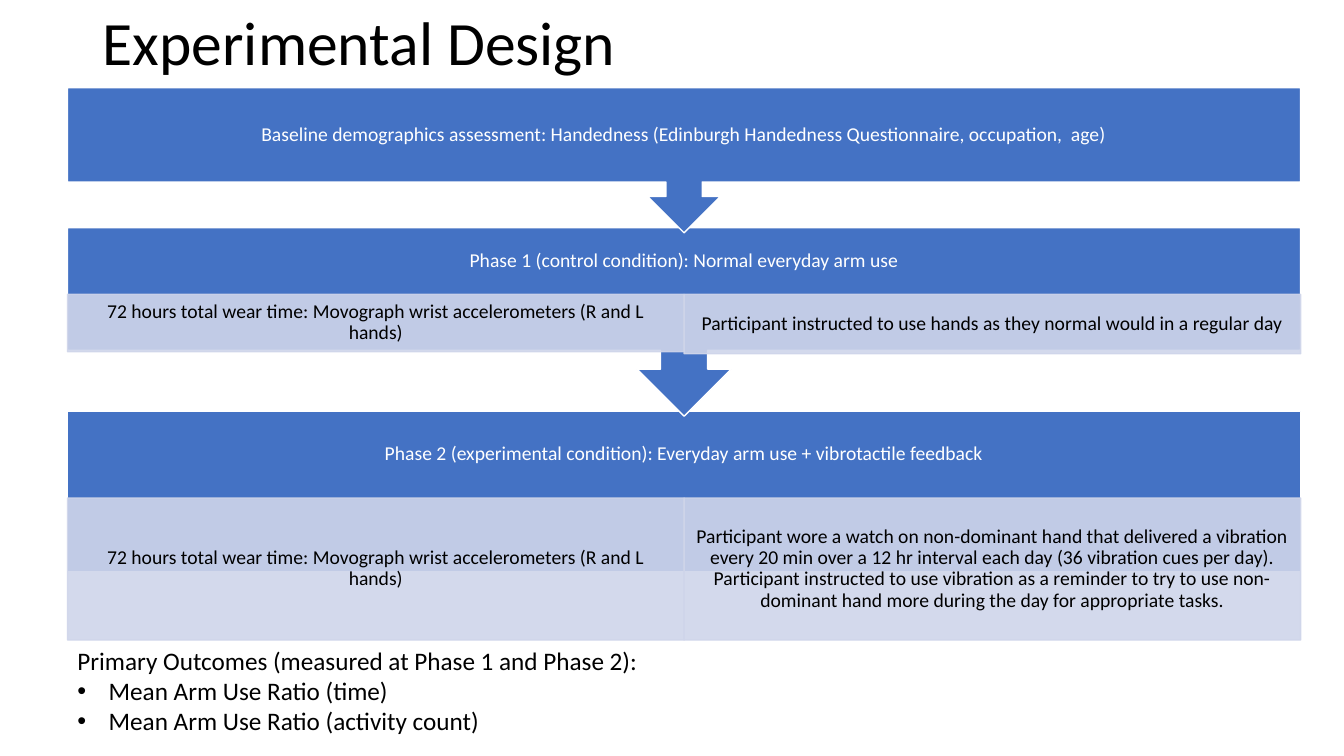
import pptx
import pptx.util
import pptx.dml.color
import pptx.enum.shapes
import pptx.enum.text
import pptx.oxml.ns
import lxml.etree

Inches = pptx.util.Inches
Pt = pptx.util.Pt
RGBColor = pptx.dml.color.RGBColor
Kind = pptx.enum.shapes.MSO_SHAPE
Align = pptx.enum.text.PP_ALIGN
Anchor = pptx.enum.text.MSO_ANCHOR
qn = pptx.oxml.ns.qn

BLUE = RGBColor(0x44, 0x72, 0xC4)
PALE = RGBColor(0xCF, 0xD5, 0xEA)
WHITE = RGBColor(0xFF, 0xFF, 0xFF)
BLACK = RGBColor(0, 0, 0)

LEFT = 0.67
WIDTH = 12.23
HALF = WIDTH / 2
WEAR = "72 hours total wear time: Movograph wrist accelerometers (R and L hands)"


class Design:
    font = "Calibri"

    def __init__(self, deck):
        self.slide = deck.slides.add_slide(deck.slide_layouts[5])

    def style(self, para, size, color, align, space=0.9):
        para.font.name = self.font
        para.font.size = Pt(size)
        para.font.color.rgb = color
        para.alignment = align
        para.line_spacing = space

    def title(self, text, left, top, width, height):
        title = self.slide.shapes.title
        title.left, title.top = Inches(left), Inches(top)
        title.width, title.height = Inches(width), Inches(height)
        frame = title.text_frame
        frame.text = text
        frame.vertical_anchor = Anchor.MIDDLE
        self.style(frame.paragraphs[0], 44, BLACK, Align.LEFT)

    def block(self, kind, text, left, top, width, height, fill, line, color, pad, low):
        shape = self.slide.shapes.add_shape(
            kind, Inches(left), Inches(top), Inches(width), Inches(height))
        shape.shadow.inherit = False
        shape.fill.solid()
        shape.fill.fore_color.rgb = fill
        shape.line.color.rgb = line
        shape.line.width = Pt(1)
        frame = shape.text_frame
        frame.word_wrap = True
        frame.vertical_anchor = Anchor.MIDDLE
        frame.margin_left = frame.margin_right = Inches(0.11)
        frame.margin_top = Inches(pad)
        frame.margin_bottom = Inches(pad + low)
        frame.text = text
        self.style(frame.paragraphs[0], 14, color, Align.CENTER)
        return shape

    def stage(self, kind, text, top, height, low=0):
        self.block(kind, text, LEFT, top, WIDTH, height, BLUE, WHITE, WHITE, 0.11, low)

    def cell(self, text, col, top, height):
        shape = self.block(Kind.RECTANGLE, text, LEFT + col * HALF, top, HALF, height,
                           PALE, PALE, BLACK, 0.02, 0)
        props = shape.fill._xPr
        for tint in props.findall(".//" + qn("a:srgbClr")):
            lxml.etree.SubElement(tint, qn("a:alpha"), val="90000")

    def notes(self, head, items, left, top, width, height):
        box = self.slide.shapes.add_textbox(
            Inches(left), Inches(top), Inches(width), Inches(height))
        frame = box.text_frame
        frame.word_wrap = True
        frame.text = "\n".join([head] + items)
        for para in frame.paragraphs:
            self.style(para, 18, BLACK, Align.LEFT, 1.0)
        for para in frame.paragraphs[1:]:
            props = para._p.get_or_add_pPr()
            props.set("marL", str(Inches(0.31)))
            props.set("indent", str(Inches(-0.31)))
            lxml.etree.SubElement(props, qn("a:buFont"), typeface="Arial")
            lxml.etree.SubElement(props, qn("a:buChar"), char="•")
            props.append(props.find(qn("a:defRPr")))


def main():
    deck = pptx.Presentation()
    deck.slide_width = Inches(13.33)
    deck.slide_height = Inches(7.5)
    page = Design(deck)
    page.title("Experimental Design", 0.92, 0.03, 11.5, 0.84)

    page.stage(Kind.RECTANGLE,
               "Phase 2 (experimental condition): Everyday arm use + vibrotactile feedback",
               4.08, 1.59, 0.73)
    page.cell(WEAR, 0, 4.94, 1.41)
    page.cell("Participant wore a watch on non-dominant hand that delivered a vibration "
              "every 20 min over a 12 hr interval each day (36 vibration cues per day). "
              "Participant instructed to use vibration as a reminder to try to use "
              "non-dominant hand more during the day for appropriate tasks.", 1, 4.94, 1.41)

    page.stage(Kind.DOWN_ARROW_CALLOUT,
               "Phase 1 (control condition): Normal everyday arm use", 2.26, 1.87, 0.56)
    page.cell(WEAR, 0, 2.92, 0.57)
    page.cell("Participant instructed to use hands as they normal would in a regular day",
              1, 2.92, 0.59)

    page.stage(Kind.DOWN_ARROW_CALLOUT,
               "Baseline demographics assessment: Handedness "
               "(Edinburgh Handedness Questionnaire, occupation,  age)", 0.87, 1.44)

    page.notes("Primary Outcomes (measured at Phase 1 and Phase 2):",
               ["Mean Arm Use Ratio (time)", "Mean Arm Use Ratio (activity count)"],
               LEFT, 6.35, 6.67, 1.01)
    deck.save("out.pptx")


if __name__ == "__main__":
    main()
